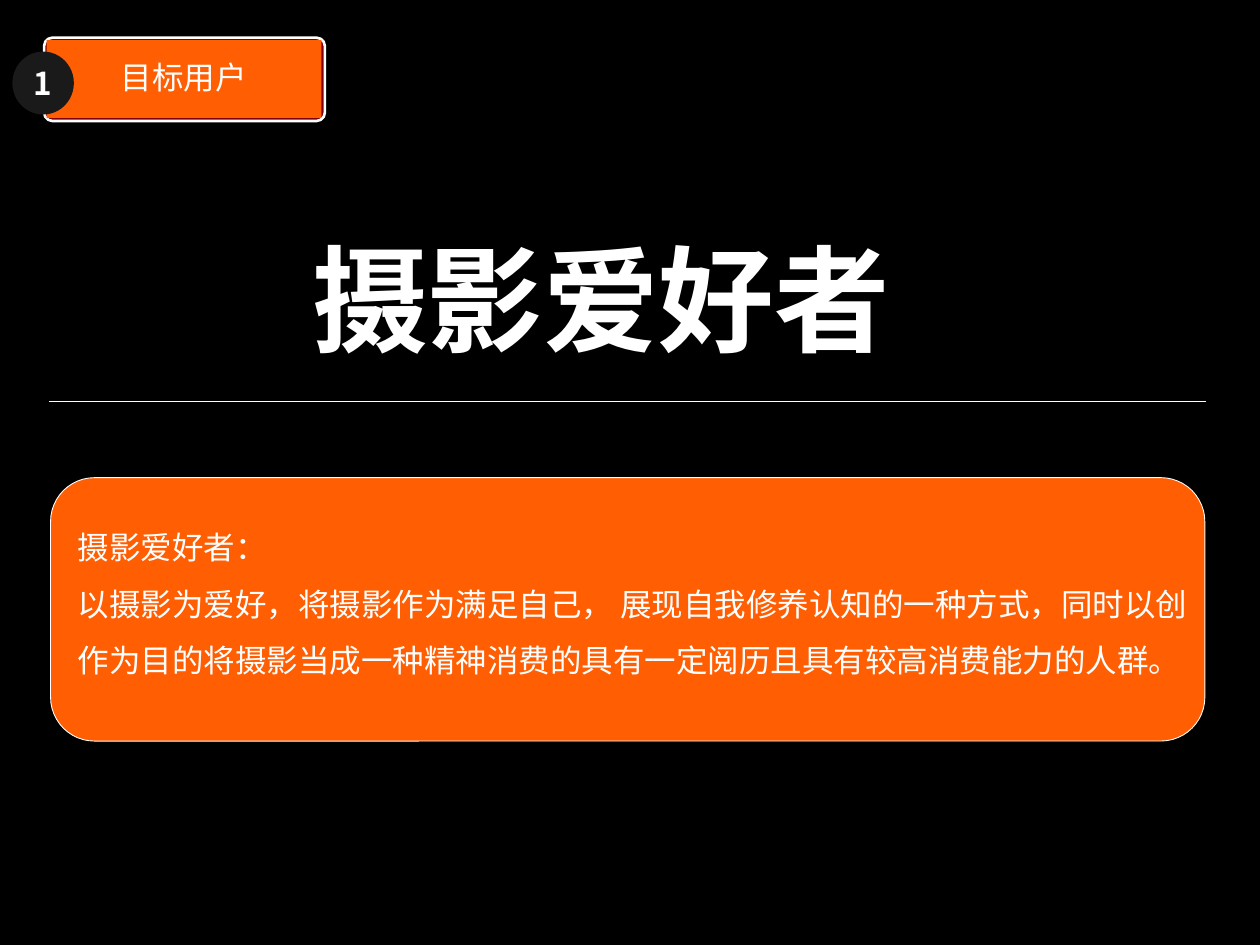
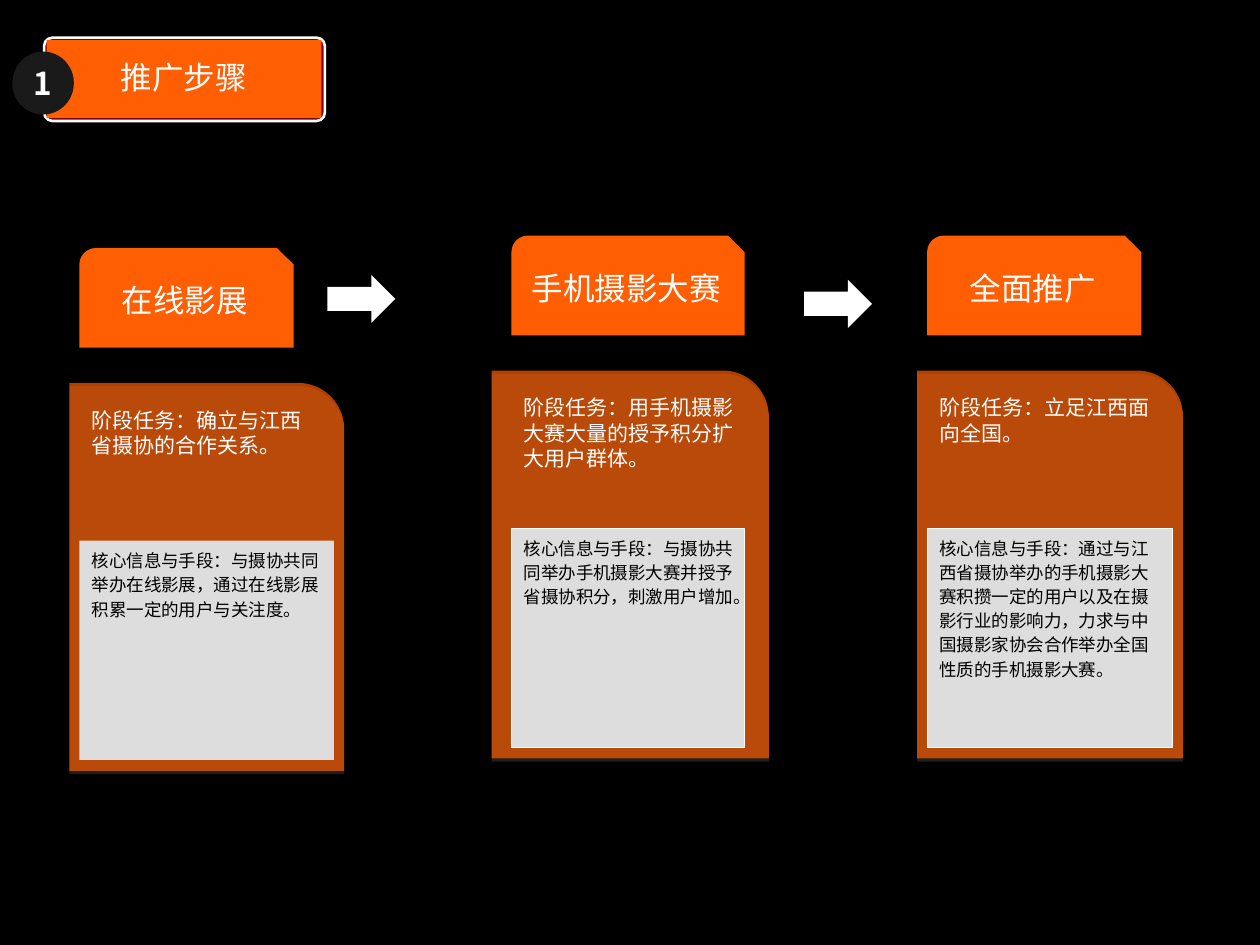
from lxml import etree
from pptx import Presentation
from pptx import util as u
from pptx.dml import color
from pptx.enum import shapes, text
from pptx.oxml import ns

FONT = "Noto Sans CJK SC"
BLACK, WHITE, DARK = "000000", "FFFFFF", "1A1A1A"
FLAME, MAROON, GREY, SHADE = "FF5E02", "800000", "DDDDDD", "808080"
KIND = shapes.MSO_SHAPE
LEFT, MID = text.PP_ALIGN.LEFT, text.PP_ALIGN.CENTER
TOP, CORE = text.MSO_ANCHOR.TOP, text.MSO_ANCHOR.MIDDLE
PAD = (0.25, 0.13, 0.25, 0.13)
TIGHT = (0.08, 0.05, 0.08, 0.05)
NOTE_PAD = (0.25, 0.13, 0.15, 0.13)

STEPS = [
    dict(name="在线影展", left=1.4, top=7.72, wide=5.54, inner=1.6,
         tab=4.32, note=5.13, edge=None,
         task="阶段任务：确立与江西省摄协的合作关系。",
         means="核心信息与手段：与摄协共同举办在线影展，通过在线影展积累一定的用户与关注度。"),
    dict(name="手机摄影大赛", left=9.91, top=7.47, wide=5.59, inner=10.31,
         tab=4.7, note=4.7, edge=WHITE,
         task="阶段任务：用手机摄影大赛大量的授予积分扩大用户群体。",
         means="核心信息与手段：与摄协共同举办手机摄影大赛并授予省摄协积分，刺激用户增加。"),
    dict(name="全面推广", left=18.49, top=7.47, wide=5.36, inner=18.69,
         tab=4.32, note=4.95, edge=WHITE,
         task="阶段任务：立足江西面向全国。",
         means="核心信息与手段：通过与江西省摄协举办的手机摄影大赛积攒一定的用户以及在摄影行业的影响力，"
               "力求与中国摄影家协会合作举办全国性质的手机摄影大赛。"),
]
ARROWS = [(6.6, 5.54), (16.21, 5.64)]


def rgb(code):
    """Turn a hex string into a colour."""
    return color.RGBColor.from_string(code)


def box(at):
    """Turn four centimetre values into lengths."""
    return [u.Cm(v) for v in at]


def child(node, tag, **attrs):
    """Add a drawing element with attributes to a node."""
    return etree.SubElement(node, ns.qn(tag), attrs)


def write(shape, *lines, size=18, ink=WHITE, bold=False, align=LEFT,
          anchor=TOP, gap=None, pad=PAD, wrap=True):
    """Fill a shape with formatted paragraphs."""
    frame = shape.text_frame
    frame.word_wrap = wrap
    frame.vertical_anchor = anchor
    (frame.margin_left, frame.margin_top,
     frame.margin_right, frame.margin_bottom) = box(pad)
    for i, line in enumerate(lines):
        para = frame.add_paragraph() if i else frame.paragraphs[0]
        para.alignment = align
        para.line_spacing = gap
        run = para.add_run()
        run.text = line
        run.font.size = u.Pt(size)
        run.font.bold = bold
        run.font.color.rgb = rgb(ink)
        run.font.name = FONT
        child(run._r.get_or_add_rPr(), "a:ea", typeface=FONT)


def block(slide, kind, at, fill, edge=None, width=0.5):
    """Draw a filled preset shape with an optional outline."""
    shape = slide.shapes.add_shape(kind, *box(at))
    shape.shadow.inherit = False
    shape.fill.solid()
    shape.fill.fore_color.rgb = rgb(fill)
    if edge:
        shape.line.color.rgb = rgb(edge)
        shape.line.width = u.Pt(width)
    else:
        shape.line.fill.background()
    return shape


def label(slide, at, *lines, **form):
    """Place a text box."""
    write(slide.shapes.add_textbox(*box(at)), *lines, **form)


def rule(slide, start, end, level):
    """Draw a thin level line."""
    line = slide.shapes.add_connector(
        shapes.MSO_CONNECTOR.STRAIGHT, *box((start, level, end, level)))
    line.line.color.rgb = rgb(WHITE)
    line.line.width = u.Pt(0.5)
    child(line._element.spPr, "a:effectLst")


def glaze(shape):
    """Make a shape see-through and give it a soft grey drop."""
    props = shape._element.spPr
    tint = props.find(ns.qn("a:solidFill"))[0]
    child(tint, "a:alpha", val="69000")
    drop = child(props.find(ns.qn("a:effectLst")), "a:outerShdw",
                 blurRad="0", dist=str(u.Pt(1.8)), dir="5400000",
                 rotWithShape="0")
    child(child(drop, "a:srgbClr", val=SHADE), "a:alpha", val="35000")


def page(deck, name):
    """Add a black slide with its numbered heading."""
    slide = deck.slides.add_slide(deck.slide_layouts[6])
    slide.background.fill.solid()
    slide.background.fill.fore_color.rgb = rgb(BLACK)
    frame = block(slide, KIND.ROUNDED_RECTANGLE, (0.89, 0.76, 5.66, 1.68),
                  MAROON, WHITE, 1.5)
    frame.adjustments[0] = 0.1
    tag = block(slide, KIND.RECTANGLE, (0.94, 0.81, 5.54, 1.57), FLAME)
    write(tag, name, align=MID, anchor=CORE, gap=0.9, pad=TIGHT)
    badge = block(slide, KIND.OVAL, (0.25, 1.04, 1.24, 1.27), DARK)
    write(badge, "1", bold=True, align=MID, anchor=CORE)
    return slide


def step(slide, name, left, top, wide, inner, tab, note, edge, task, means):
    """Draw one stage: its tab, card, task and note."""
    card = block(slide, KIND.ROUND_1_RECTANGLE, (left, top, wide, 7.82), FLAME)
    card.adjustments[0] = 0.93 / wide
    glaze(card)
    head = block(slide, KIND.SNIP_ROUND_RECTANGLE,
                 (inner, top - 2.72, tab, 2.01), FLAME)
    write(head, name, align=MID, anchor=CORE)
    label(slide, (inner, top + 0.36, 4.97, 1.8), task, size=12)
    panel = block(slide, KIND.RECTANGLE, (inner, top + 3.18, note, 4.42),
                  GREY, edge, 0.1)
    write(panel, means, size=10, ink=BLACK, gap=1.15, pad=NOTE_PAD)


def users(deck):
    """Build the slide on target users."""
    slide = page(deck, "目标用户")
    block(slide, KIND.ROUNDED_RECTANGLE, (1.02, 9.63, 23.27, 5.31),
          FLAME, WHITE)
    rule(slide, 0.99, 24.31, 8.1)
    label(slide, (1.32, 10.13, 23.39, 3.66), "摄影爱好者：",
          "以摄影为爱好，将摄影作为满足自己， 展现自我修养认知的一种方式，同时以创作为目的"
          "将摄影当成一种精神消费的具有一定阅历且具有较高消费能力的人群。", gap=1.5)
    label(slide, (6.05, 4.47, 12.27, 3.07), "摄影爱好者",
          size=66, bold=True, wrap=False)


def stages(deck):
    """Build the slide on promotion steps."""
    slide = page(deck, "推广步骤")
    for item in STEPS:
        step(slide, **item)
    for left, top in ARROWS:
        block(slide, KIND.RIGHT_ARROW, (left, top, 1.37, 0.97), WHITE)


def main():
    """Build and save the deck."""
    deck = Presentation()
    deck.slide_width, deck.slide_height = u.Cm(25.4), u.Cm(19.05)
    users(deck)
    stages(deck)
    deck.save("out.pptx")


if __name__ == "__main__":
    main()
